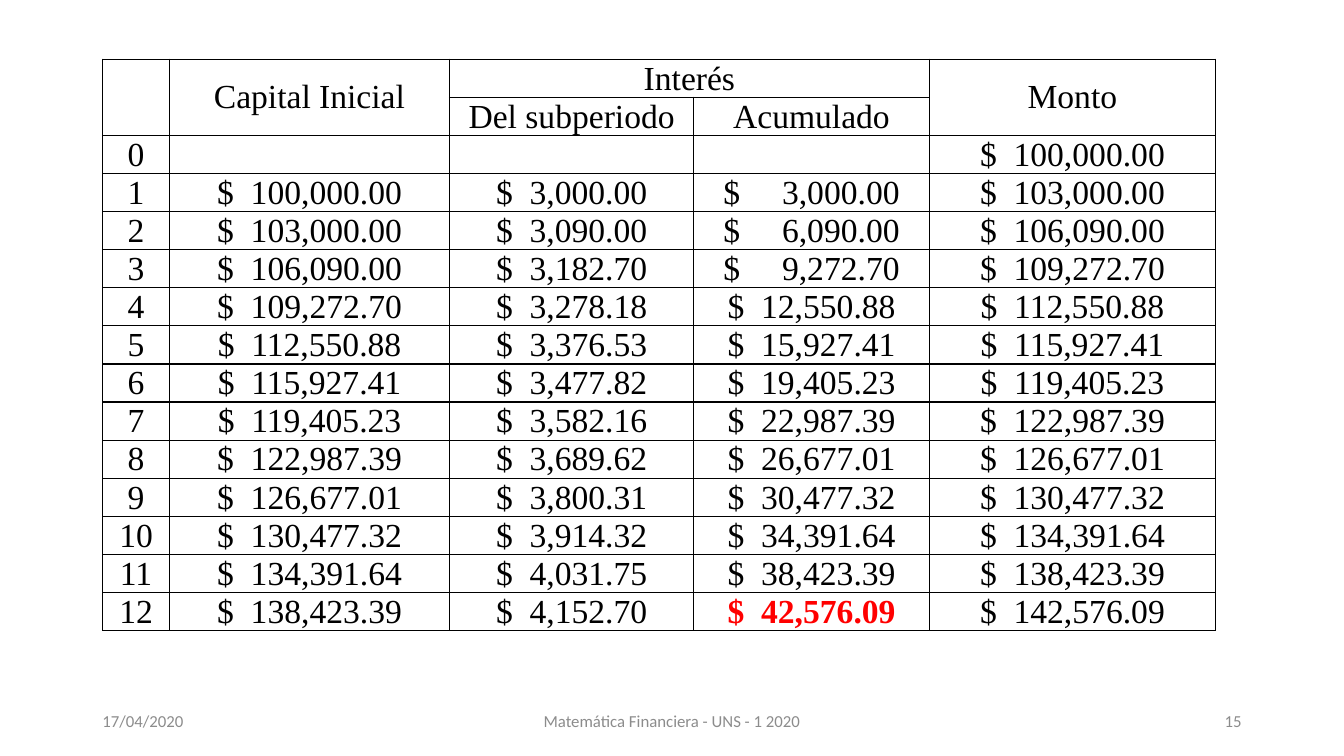
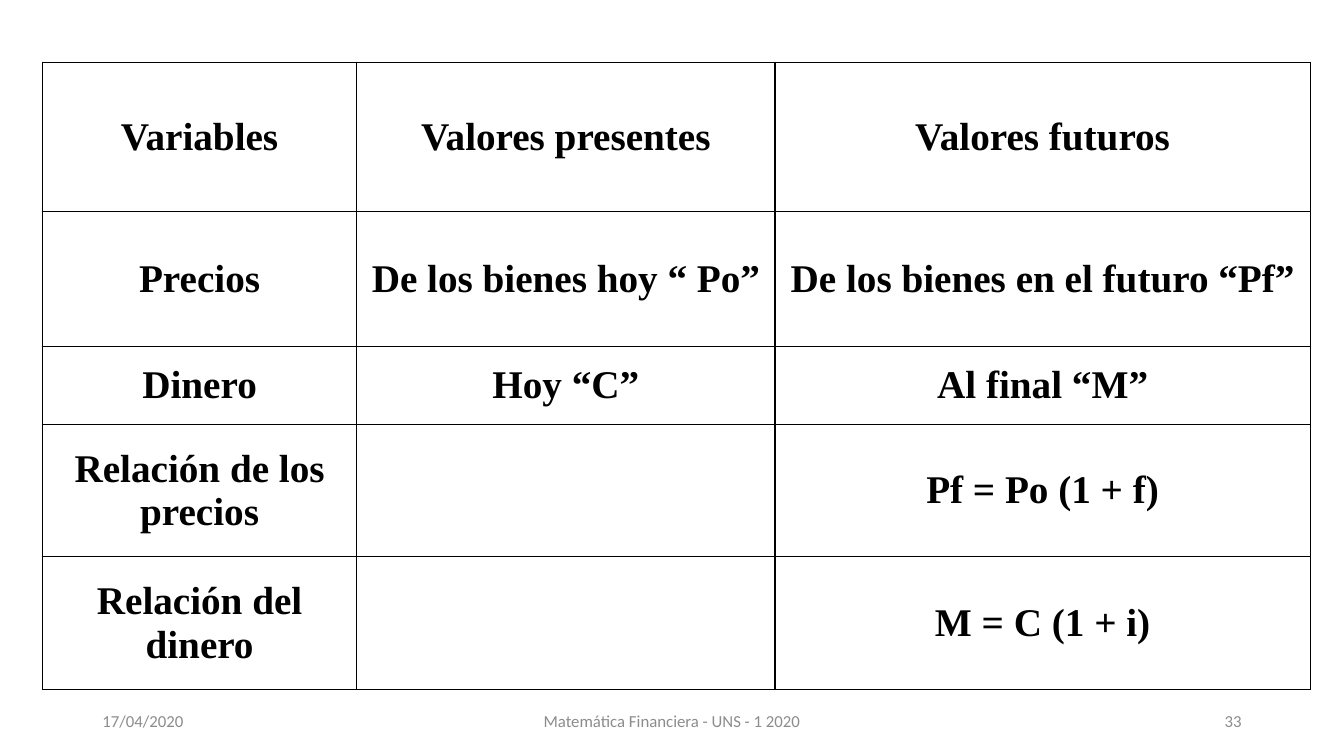
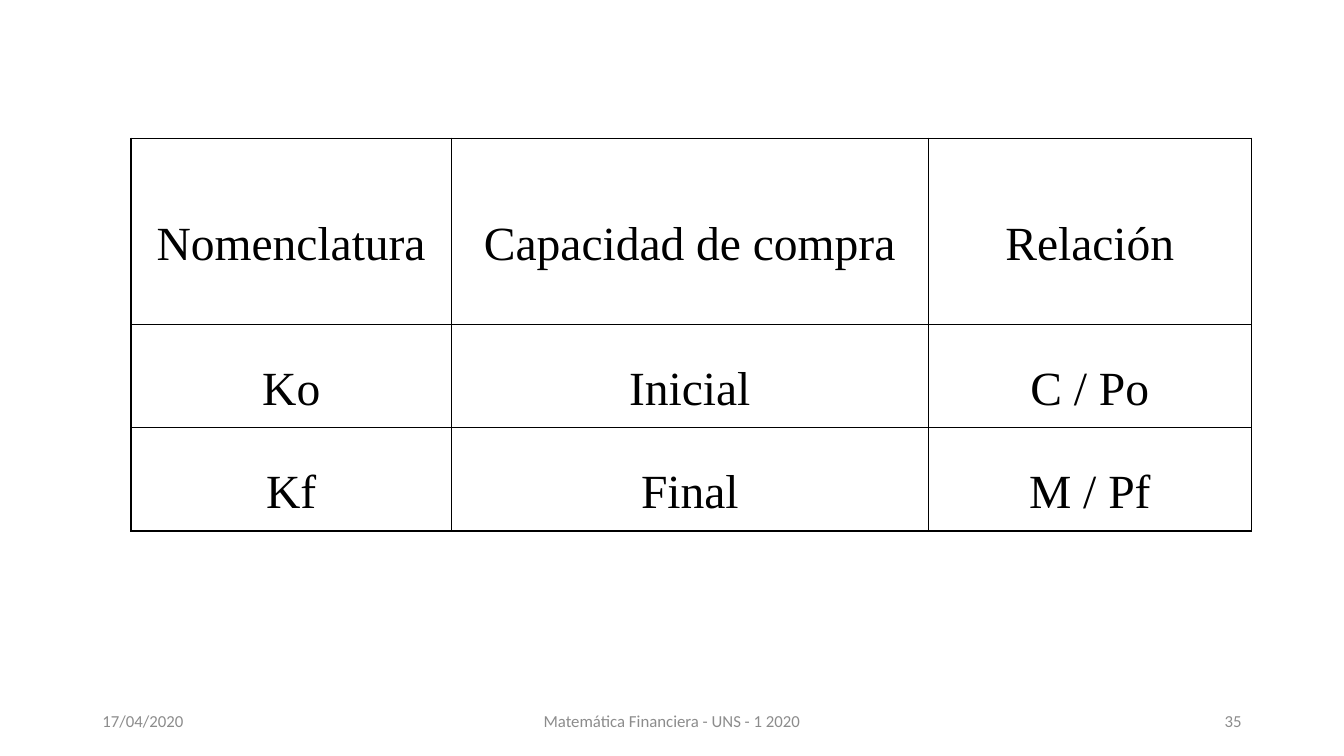
from dataclasses import dataclass

import pptx
import pptx.dml.color
import pptx.enum.text
import pptx.oxml
import pptx.oxml.ns
import pptx.util

Cm, Pt = pptx.util.Cm, pptx.util.Pt
RGB = pptx.dml.color.RGBColor
Align, Anchor = pptx.enum.text.PP_ALIGN, pptx.enum.text.MSO_ANCHOR


@dataclass(frozen=True)
class Theme:
    width: float = 33.87
    height: float = 19.05
    table_font: str = "Times New Roman"
    footer_font: str = "Calibri"
    ink: RGB = RGB(0, 0, 0)
    paper: RGB = RGB(255, 255, 255)
    accent: RGB = RGB(255, 0, 0)
    muted: RGB = RGB(0x8C, 0x8C, 0x8C)
    schedule_size: int = 24
    variables_size: int = 28
    power_size: int = 34
    footer_size: int = 12
    border: int = 1


T = Theme()


def style(p, font, size, color, align, bold=False):
    p.font.name, p.font.size, p.font.bold = font, Pt(size), bold
    p.font.color.rgb = color
    p.alignment = align


def add_footer(s, number):
    """Date on the left, course in the centre, slide number on the right."""
    margin, side, middle = 2.33, 7.62, 11.43
    parts = [
        ("17/04/2020", margin, side, Align.LEFT),
        ("Matemática Financiera - UNS - 1 2020", (T.width - middle) / 2, middle, Align.CENTER),
        (str(number), T.width - margin - side, side, Align.RIGHT),
    ]
    for text, left, width, align in parts:
        tf = s.shapes.add_textbox(Cm(left), Cm(17.65), Cm(width), Cm(1.02)).text_frame
        tf.word_wrap = True
        tf.vertical_anchor = Anchor.MIDDLE
        p = tf.paragraphs[0]
        p.text = text
        style(p, T.footer_font, T.footer_size, T.muted, align)


def set_borders(cell):
    tc_pr = cell._tc.get_or_add_tcPr()
    for i, edge in enumerate(("lnL", "lnR", "lnT", "lnB")):
        tc_pr.insert(i, pptx.oxml.parse_xml(
            f'<a:{edge} {pptx.oxml.ns.nsdecls("a")} w="{Pt(T.border)}"><a:solidFill>'
            f'<a:srgbClr val="{T.ink}"/></a:solidFill></a:{edge}>'))


def add_grid(s, left, top, cols, rows, cells, size, bold=False,
             anchor=Anchor.MIDDLE, inset=0.18, spacing=None):
    """Ruled table of centred text; cols and rows hold sizes in centimetres."""
    table = s.shapes.add_table(len(rows), len(cols), Cm(left), Cm(top),
                               Cm(sum(cols)), Cm(sum(rows))).table
    table.first_row = table.horz_banding = False
    for column, width in zip(table.columns, cols):
        column.width = Cm(width)
    for row, height, texts in zip(table.rows, rows, cells):
        row.height = Cm(height)
        for cell, text in zip(row.cells, texts):
            cell.margin_left = cell.margin_right = Cm(inset)
            cell.margin_top = cell.margin_bottom = 0
            cell.vertical_anchor = anchor
            cell.fill.solid()
            cell.fill.fore_color.rgb = T.paper
            set_borders(cell)
            p = cell.text_frame.paragraphs[0]
            p.text = text
            style(p, T.table_font, size, T.ink, Align.CENTER, bold)
            if spacing:
                p.line_spacing = spacing
    return table


def money(value, gap=2):
    return f"${' ' * gap}{value:,.2f}"


def schedule_rows(capital, rate, periods):
    """Compound interest, one row for each period."""
    rows = [["0", "", "", "", money(capital)]]
    start = capital
    for period in range(1, periods + 1):
        interest = start * rate
        end = start + interest
        total = end - capital
        rows.append([str(period), money(start), money(interest),
                     money(total, 2 if total >= 10000 else 5), money(end)])
        start = end
    return rows


def interest_schedule(s):
    cells = [
        ["", "Capital Inicial", "Interés", "", "Monto"],
        ["", "", "Del subperiodo", "Acumulado", ""],
    ] + schedule_rows(100000, 0.03, 12)
    table = add_grid(s, 2.59, 1.49, [1.68, 7.06, 6.15, 5.94, 7.21], [0.96] * len(cells),
                     cells, T.schedule_size, anchor=Anchor.BOTTOM, inset=0.02)
    for col in (0, 1, 4):
        table.cell(0, col).merge(table.cell(1, col))
        table.cell(0, col).vertical_anchor = Anchor.MIDDLE
    table.cell(0, 2).merge(table.cell(0, 3))
    total = table.cell(len(cells) - 1, 3).text_frame.paragraphs[0]
    style(total, T.table_font, T.schedule_size, T.accent, Align.CENTER, bold=True)


def variables_table(s):
    cells = [
        ["Variables", "Valores presentes", "Valores futuros"],
        ["Precios", "De los bienes hoy “ Po”", "De los bienes en el futuro “Pf”"],
        ["Dinero", "Hoy “C”", "Al final “M”"],
        ["Relación de los precios", "", "Pf = Po (1 + f)"],
        ["Relación del dinero", "", "M = C (1 + i)"],
    ]
    add_grid(s, 1.07, 1.57, [7.92, 10.54, 13.49], [3.76, 3.4, 1.96, 3.34, 3.34],
             cells, T.variables_size, bold=True)


def purchasing_power_table(s):
    cells = [
        ["Nomenclatura", "Capacidad de compra", "Relación"],
        ["Ko", "Inicial", "C / Po"],
        ["Kf", "Final", "M / Pf"],
    ]
    add_grid(s, 3.3, 3.48, [8.08, 12.01, 8.15], [4.7, 2.6, 2.6],
             cells, T.power_size, spacing=1.5)


def main():
    prs = pptx.Presentation()
    prs.slide_width, prs.slide_height = Cm(T.width), Cm(T.height)
    for build, number in ((interest_schedule, 15), (variables_table, 33),
                          (purchasing_power_table, 35)):
        s = prs.slides.add_slide(prs.slide_layouts[6])
        build(s)
        add_footer(s, number)
    prs.save("out.pptx")


if __name__ == "__main__":
    main()
